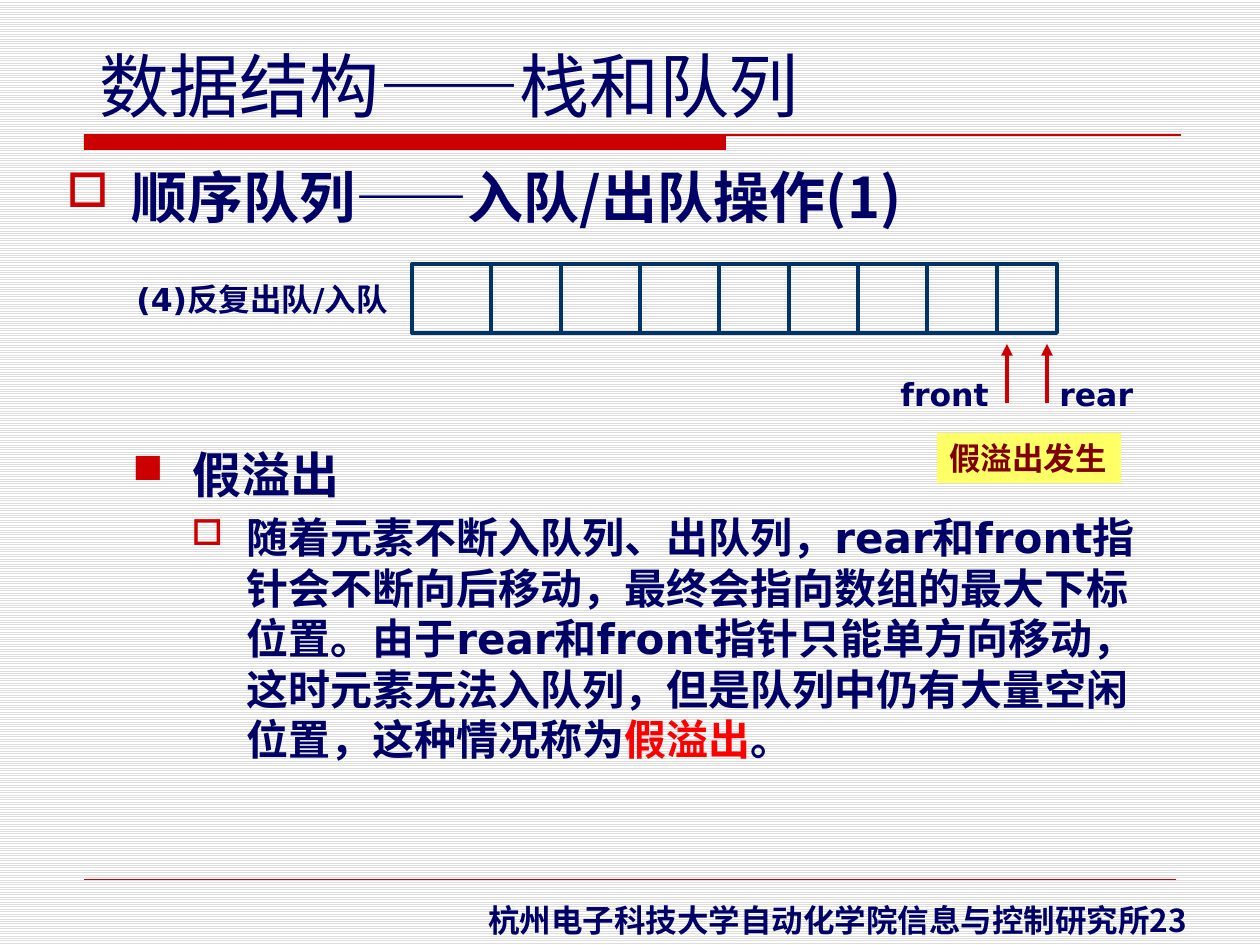
from lxml import etree
from pptx import Presentation
from pptx.dml.color import RGBColor
from pptx.enum.dml import MSO_PATTERN
from pptx.enum.shapes import MSO_CONNECTOR, MSO_SHAPE
from pptx.enum.text import MSO_ANCHOR, PP_ALIGN
from pptx.oxml.ns import qn
from pptx.util import Pt

PX = 7257.14  # EMU per px, 126 px to the inch
LINE, RECT = MSO_CONNECTOR.STRAIGHT, MSO_SHAPE.RECTANGLE
LEFT, TOP = PP_ALIGN.LEFT, MSO_ANCHOR.TOP

NAVY = RGBColor(0x00, 0x00, 0x66)
STEEL = RGBColor(0x00, 0x33, 0x66)
RED = RGBColor(0xCC, 0x00, 0x00)
BRIGHT = RGBColor(0xFF, 0x00, 0x00)
MAROON = RGBColor(0x80, 0x00, 0x00)
YELLOW = RGBColor(0xFF, 0xFF, 0x66)
GREY = RGBColor(0xDD, 0xDD, 0xDD)
WHITE = RGBColor(0xFF, 0xFF, 0xFF)
SANS, CJK = "DejaVu Sans", "Noto Sans CJK SC"


def px(*nums):
    return [round(n * PX) for n in nums]


def rule(x1, y1, x2, y2, color, width):
    line = slide.shapes.add_connector(LINE, *px(x1, y1, x2, y2))
    line.line.color.rgb = color
    line.line.width = Pt(width)
    etree.SubElement(line._element.spPr, qn("a:effectLst"))
    return line


deck = Presentation()
deck.slide_width, deck.slide_height = px(1260, 945)
slide = deck.slides.add_slide(deck.slide_layouts[5])

# Striped background
back = slide.background.fill
back.patterned()
back.pattern = MSO_PATTERN.LIGHT_HORIZONTAL
back.fore_color.rgb = GREY
back.back_color.rgb = WHITE

# Title
title = slide.shapes.title
title.left, title.top, title.width, title.height = px(87, 36, 725, 97)
frame = title.text_frame
frame.word_wrap = False
frame.vertical_anchor = TOP
para = frame.paragraphs[0]
para.alignment = LEFT
para.font.size = Pt(40)
para.font.color.rgb = NAVY
for text, face in (("数据结构", SANS), ("——", "Arial"), ("栈和队列", SANS)):
    run = para.add_run()
    run.text = text
    run.font.name = face

# Title bar and rules
bar = slide.shapes.add_shape(RECT, *px(84, 135, 642, 15))
bar.shadow.inherit = False
bar.fill.solid()
bar.fill.fore_color.rgb = RED
bar.line.fill.background()
rule(84, 135, 1181, 135, RED, 0.75)
rule(84, 879, 1176, 879, RED, 0.25)

# Body outline: bullet, indent, hang, size, space before, font, runs
items = [
    ("□", 65, 65, 32, 0, CJK, [("顺序队列——入队/出队操作(1)", NAVY)]),
    ("■", 126, 60, 28, 123, CJK, [("假溢出", NAVY)]),
    ("□", 180, 55, 24, 4.8, SANS, [
        ("随着元素不断入队列、出队列，rear和front指针会不断向后移动，"
         "最终会指向数组的最大下标位置。由于rear和front指针只能单方向移动，"
         "这时元素无法入队列，但是队列中仍有大量空闲位置，这种情况称为", NAVY),
        ("假溢出", BRIGHT),
        ("。", NAVY)]),
]
body = slide.shapes.add_textbox(*px(54, 156, 1121, 789)).text_frame
body.word_wrap = True
for i, (mark, indent, hang, size, gap, face, runs) in enumerate(items):
    para = body.add_paragraph() if i else body.paragraphs[0]
    props = para._p.get_or_add_pPr()
    left, first = px(indent, -hang)
    props.set("marL", str(left))
    props.set("indent", str(first))
    para.space_before = Pt(gap)
    tint = etree.SubElement(props, qn("a:buClr"))
    etree.SubElement(tint, qn("a:srgbClr"), val=str(RED))
    etree.SubElement(props, qn("a:buSzPct"), val="85000")
    etree.SubElement(props, qn("a:buChar"), char=mark)
    para.font.size = Pt(size)
    para.font.bold = True
    para.font.name = face
    for text, color in runs:
        run = para.add_run()
        run.text = text
        run.font.color.rgb = color

# Queue cells
queue = slide.shapes.add_shape(RECT, *px(412, 264, 645, 69))
queue.shadow.inherit = False
queue.fill.background()
queue.line.color.rgb = STEEL
queue.line.width = Pt(2.25)
for x in (491, 561, 640, 719, 789, 858, 927, 997):
    rule(x, 264, x, 333, STEEL, 2.25)

# Pointer arrows
for x in (1007, 1047):
    arrow = rule(x, 403, x, 344, RED, 2.25)
    etree.SubElement(arrow.line._get_or_add_ln(), qn("a:tailEnd"), type="triangle")

# Labels: text, box, color, fill
labels = [
    ("(4)反复出队/入队", (124, 274, 294, 50), NAVY, None),
    ("front", (888, 369, 125, 50), NAVY, None),
    ("rear", (1047, 369, 110, 50), NAVY, None),
    ("假溢出发生", (937, 433, 184, 50), MAROON, YELLOW),
]
for text, box, color, fill in labels:
    label = slide.shapes.add_textbox(*px(*box))
    if fill:
        label.fill.solid()
        label.fill.fore_color.rgb = fill
    label.text_frame.word_wrap = True
    para = label.text_frame.paragraphs[0]
    para.text = text
    para.font.size = Pt(18)
    para.font.bold = True
    para.font.name = SANS
    para.font.color.rgb = color

# Footer with page number
foot = slide.shapes.add_textbox(*px(476, 895, 770, 50)).text_frame
foot.word_wrap = False
para = foot.paragraphs[0]
para.font.size = Pt(18)
para.font.bold = True
para.font.color.rgb = NAVY
for text, face in (("杭州电子科技大学自动化学院信息与控制研究所", "Times New Roman"), ("23", CJK)):
    run = para.add_run()
    run.text = text
    run.font.name = face

deck.save("out.pptx")
